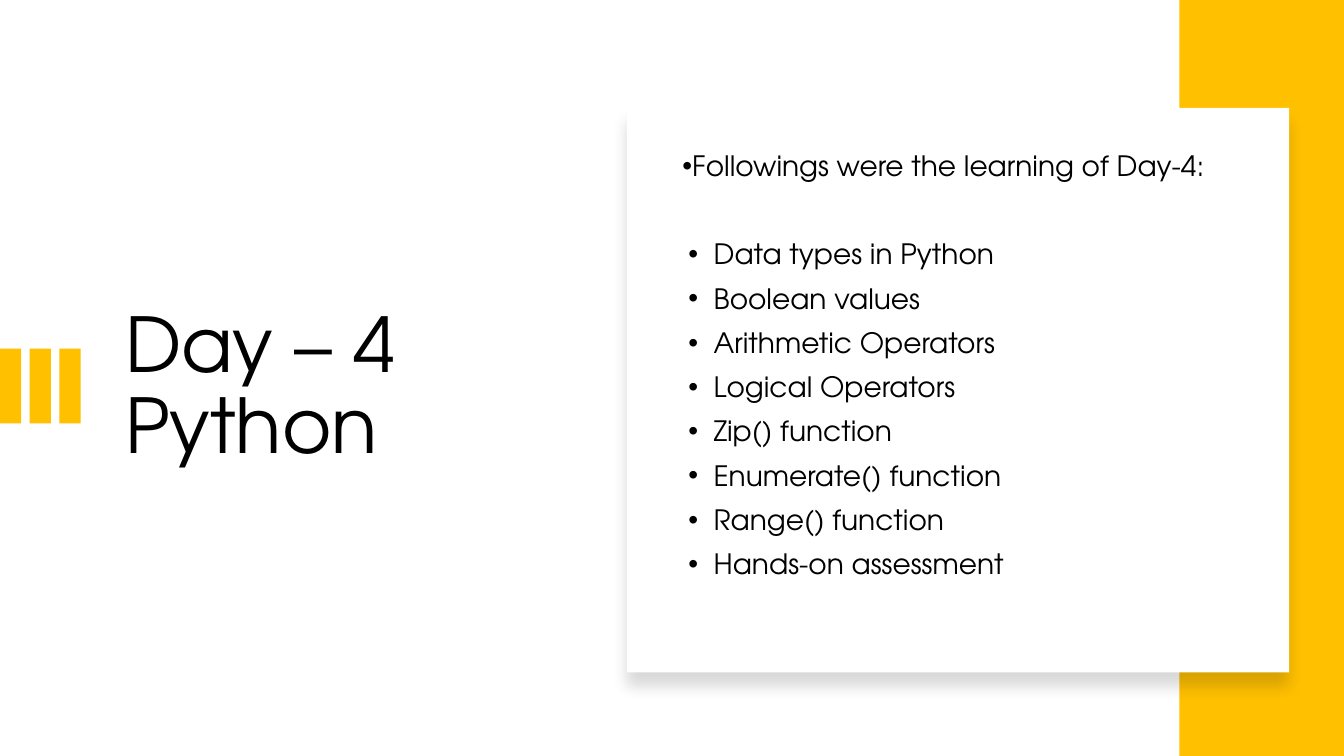
from dataclasses import dataclass

from lxml import etree
from pptx import Presentation
from pptx.dml.color import RGBColor
from pptx.enum.shapes import MSO_SHAPE
from pptx.enum.text import MSO_ANCHOR, MSO_AUTO_SIZE, PP_ALIGN
from pptx.oxml.ns import qn
from pptx.util import Inches, Pt

RECTANGLE = MSO_SHAPE.RECTANGLE
MIDDLE = MSO_ANCHOR.MIDDLE
NO_AUTOFIT = MSO_AUTO_SIZE.NONE
LEFT = PP_ALIGN.LEFT

COLORS = {"accent": "FFC000", "card": "FFFFFF", "text": "000000", "shadow": "000000"}
FONT = "TeX Gyre Adventor"
GRID = Inches(0.1)
COLUMNS, ROWS = 133.33, 75

INTRODUCTION = "Followings were the learning of Day-4:"
TOPICS = [
    "Data types in Python",
    "Boolean values",
    "Arithmetic Operators",
    "Logical Operators",
    "Zip() function",
    "Enumerate() function",
    "Range() function",
    "Hands-on assessment",
]


@dataclass
class Box:
    left: float
    top: float
    width: float
    height: float

    def inset(self, left, top, right, bottom):
        return Box(self.left + left, self.top + top,
                   self.width - left - right, self.height - top - bottom)

    def lengths(self):
        return [round(cells * GRID)
                for cells in (self.left, self.top, self.width, self.height)]


def add_rectangle(shapes, box, color):
    shape = shapes.add_shape(RECTANGLE, *box.lengths())
    shape.shadow.inherit = False
    shape.fill.solid()
    shape.fill.fore_color.rgb = RGBColor.from_string(COLORS[color])
    shape.line.fill.background()
    return shape


def add_shadow(shape, blur, distance, direction, opacity):
    effects = shape.element.spPr.find(qn("a:effectLst"))
    shadow = etree.SubElement(
        effects, qn("a:outerShdw"), blurRad=str(Pt(blur)), dist=str(Pt(distance)),
        dir=str(direction * 60000), algn="t", rotWithShape="0")
    color = etree.SubElement(shadow, qn("a:srgbClr"), val=COLORS["shadow"])
    etree.SubElement(color, qn("a:alpha"), val=str(opacity * 1000))


def place_placeholder(placeholder, box):
    placeholder.left, placeholder.top, placeholder.width, placeholder.height = box.lengths()
    frame = placeholder.text_frame
    frame.word_wrap = True
    frame.auto_size = NO_AUTOFIT
    frame.vertical_anchor = MIDDLE
    return frame


def write_text(paragraph, text, size, space_before=0, margin=0, bullet=False):
    paragraph.text = text
    paragraph.alignment = LEFT
    paragraph.line_spacing = 0.9
    paragraph.space_before = Pt(space_before)
    for run in paragraph.runs:
        run.font.name = FONT
        run.font.size = Pt(size)
        run.font.color.rgb = RGBColor.from_string(COLORS["text"])
    if bullet:
        properties = paragraph._p.get_or_add_pPr()
        properties.set("marL", str(Inches(margin)))
        properties.set("indent", str(Inches(-0.25)))
        etree.SubElement(properties, qn("a:buFont"), typeface="Arial")
        etree.SubElement(properties, qn("a:buChar"), char="•")


def build_title(slide, box):
    frame = place_placeholder(slide.shapes.title, box)
    write_text(frame.paragraphs[0], "Day – 4 \vPython", size=54)


def build_stripes(slide, box, count=3, width=2.1):
    group = slide.shapes.add_group_shape()
    step = (box.width - width) / (count - 1)
    for index in range(count):
        stripe = Box(box.left + index * step, box.top, width, box.height)
        add_rectangle(group.shapes, stripe, "accent")


def build_topic_card(slide, box):
    card = add_rectangle(slide.shapes, box, "card")
    add_shadow(card, blur=11, distance=10, direction=90, opacity=15)
    body = slide.placeholders[1]
    card.element.addnext(body.element)
    frame = place_placeholder(body, box.inset(4.5, 3.9, 3.7, 4.2))
    frame.margin_bottom = Inches(0.49)
    write_text(frame.paragraphs[0], INTRODUCTION, size=20, space_before=10, bullet=True)
    for index, topic in enumerate(TOPICS):
        write_text(frame.add_paragraph(), topic, size=20, margin=0.31, bullet=True,
                   space_before=10 if index else 41.7)


def main():
    presentation = Presentation()
    presentation.slide_width = round(COLUMNS * GRID)
    presentation.slide_height = ROWS * GRID
    slide = presentation.slides.add_slide(presentation.slide_layouts[0])
    build_title(slide, Box(11.4, 14.6, 42.6, 47.9))
    build_stripes(slide, Box(0, 34.6, 8, 7.4))
    add_rectangle(slide.shapes, Box(117, 0, COLUMNS - 117, ROWS), "accent")
    build_topic_card(slide, Box(62.2, 10.7, 65.7, 56))
    presentation.save("out.pptx")


if __name__ == "__main__":
    main()
